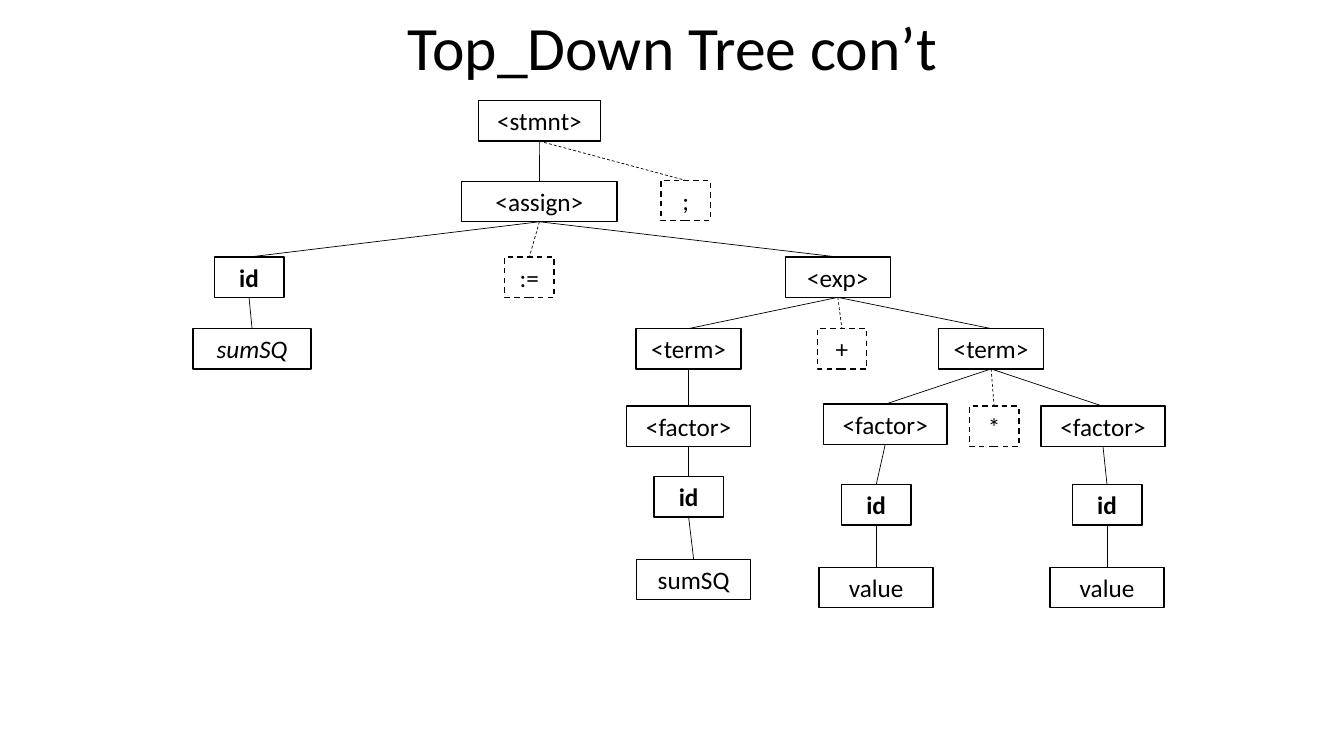
from dataclasses import dataclass
from lxml.etree import SubElement
from pptx import Presentation
from pptx.dml.color import RGBColor
from pptx.enum.dml import MSO_LINE
from pptx.enum.shapes import MSO_CONNECTOR, MSO_SHAPE
from pptx.enum.text import MSO_ANCHOR, MSO_AUTO_SIZE, PP_ALIGN
from pptx.oxml.ns import qn
from pptx.util import Inches, Pt


@dataclass(frozen=True)
class Theme:
    ink: RGBColor = RGBColor(0, 0, 0)
    paper: RGBColor = RGBColor(255, 255, 255)
    font: str = "Calibri"
    head: int = 44
    body: int = 18
    edge: float = 1
    link: float = 0.5


THEME = Theme()
HIGH = 0.4
TOP, BOTTOM = 0, 2  # connection sites of a rectangle
BOLD, ITALIC, TOKEN = "bold", "italic", "token"
WIDTHS = {"<stmnt>": 1.21, "<assign>": 1.54, "<exp>": 1.04, "<term>": 1.04,
          "<factor>": 1.23, "id": 0.69, "sumSQ": 1.13, "value": 1.13}


def node(text, mid, top, *kids, kind=None, wide=None):
    """Describe a box by its middle and top within the tree, and its children."""
    return dict(text=text, mid=mid, top=top, kids=kids, kind=kind,
                wide=wide or WIDTHS[text])


def token(text, mid, top):
    return node(text, mid, top, kind=TOKEN, wide=0.49)


def ident(mid, top, leaf):
    return node("id", mid, top, leaf, kind=BOLD)


TREE = node(
    "<stmnt>", 5.35, 0,
    node("<assign>", 5.35, 0.8,
         ident(2.47, 1.55, node("sumSQ", 2.5, 2.26, kind=ITALIC, wide=1.17)),
         token(":=", 5.25, 1.55),
         node("<exp>", 8.31, 1.55,
              node("<term>", 6.83, 2.26,
                   node("<factor>", 6.83, 3.03,
                        ident(6.83, 3.73, node("sumSQ", 6.88, 4.55)))),
              token("+", 8.35, 2.26),
              node("<term>", 9.83, 2.26,
                   node("<factor>", 8.78, 3.01,
                        ident(8.69, 3.81, node("value", 8.69, 4.63))),
                   token("*", 9.86, 3.03),
                   node("<factor>", 10.94, 3.03,
                        ident(10.98, 3.81, node("value", 10.98, 4.63)))))),
    token(";", 6.8, 0.79))


def put(target, **values):
    for name, value in values.items():
        setattr(target, name, value)


def write(shape, text, size, frame, para, **font):
    put(shape.text_frame, text=text, word_wrap=True, **frame)
    line = shape.text_frame.paragraphs[0]
    put(line, alignment=PP_ALIGN.CENTER, **para)
    run = line.runs[0].font
    put(run, name=THEME.font, size=Pt(size), **font)
    run.color.rgb = THEME.ink


def stroke(shape, width, kind):
    shape.line.color.rgb = THEME.ink
    shape.line.width = Pt(width)
    if kind == TOKEN:
        shape.line.dash_style = MSO_LINE.DASH


def join(slide, upper, lower, kind):
    line = slide.shapes.add_connector(MSO_CONNECTOR.STRAIGHT, 0, 0, 0, 0)
    line.begin_connect(upper, BOTTOM)
    line.end_connect(lower, TOP)
    stroke(line, THEME.link, kind)
    SubElement(line._element.spPr, qn("a:effectLst"))


def draw_tree(slide, left, top, part):
    """Draw a box and its subtree, with the tree's corner at left and top."""
    box = slide.shapes.add_shape(
        MSO_SHAPE.RECTANGLE, Inches(left + part["mid"] - part["wide"] / 2),
        Inches(top + part["top"]), Inches(part["wide"]), Inches(HIGH))
    box.shadow.inherit = False
    box.fill.solid()
    box.fill.fore_color.rgb = THEME.paper
    stroke(box, THEME.edge, part["kind"])
    frame = dict(vertical_anchor=MSO_ANCHOR.TOP,
                 auto_size=MSO_AUTO_SIZE.SHAPE_TO_FIT_TEXT)
    write(box, part["text"], THEME.body, frame, {},
          bold=part["kind"] == BOLD, italic=part["kind"] == ITALIC)
    for kid in part["kids"]:
        join(slide, box, draw_tree(slide, left, top, kid), kid["kind"])
    return box


def draw_title(slide, left, top, width, height, text):
    title = slide.shapes.title
    put(title, left=Inches(left), top=Inches(top),
        width=Inches(width), height=Inches(height))
    frame = dict(vertical_anchor=MSO_ANCHOR.MIDDLE, auto_size=MSO_AUTO_SIZE.NONE)
    write(title, text, THEME.head, frame, dict(line_spacing=0.9))


def main():
    deck = Presentation()
    put(deck, slide_width=Inches(13.33), slide_height=Inches(7.5))
    slide = deck.slides.add_slide(deck.slide_layouts[5])
    draw_title(slide, 0.92, 0, 11.5, 1, "Top_Down Tree con’t")
    draw_tree(slide, 0, 1, TREE)
    deck.save("out.pptx")


if __name__ == "__main__":
    main()
